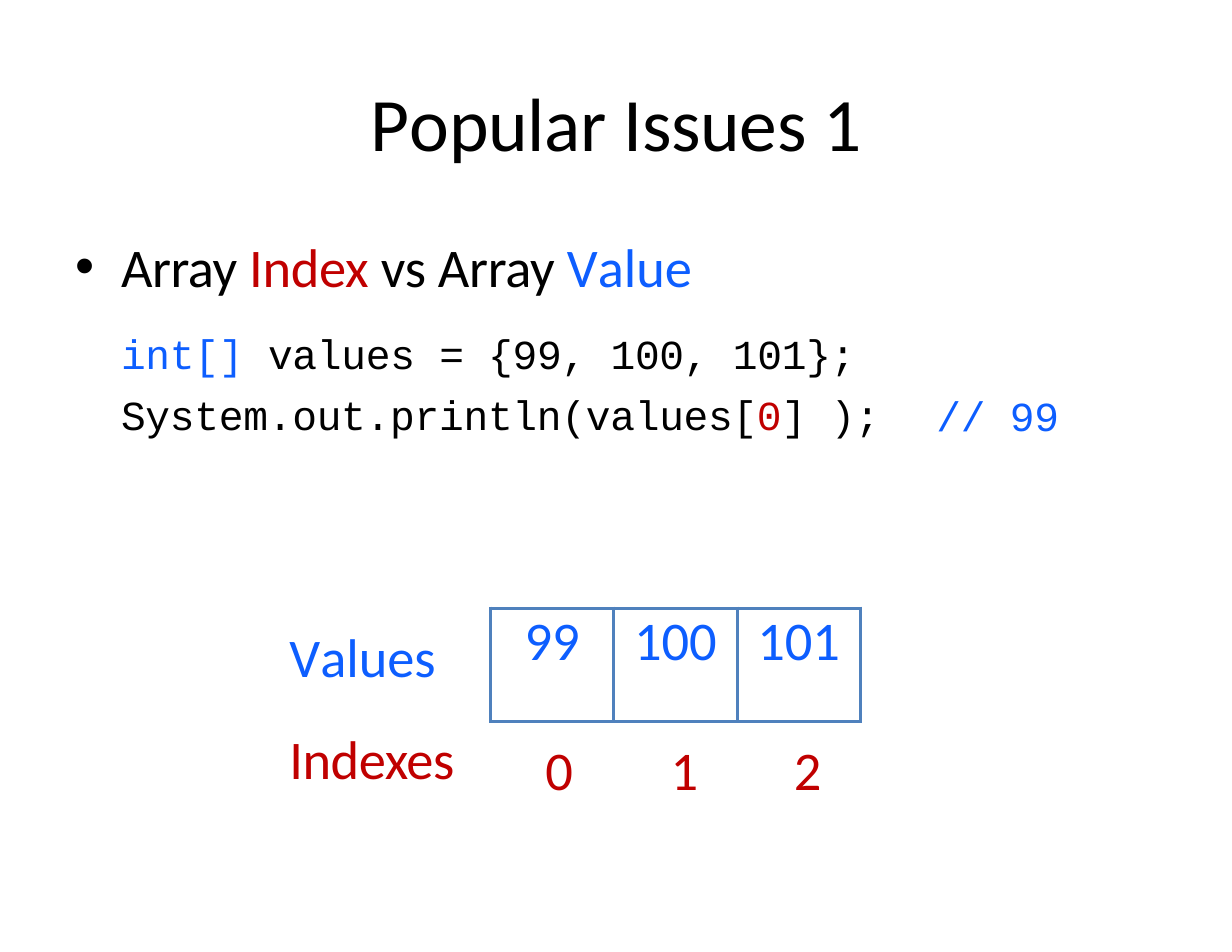
from lxml import etree
from pptx import Presentation
from pptx.dml.color import RGBColor
from pptx.enum.text import PP_ALIGN
from pptx.oxml.ns import qn
from pptx.util import Pt

LEFT, CENTER = PP_ALIGN.LEFT, PP_ALIGN.CENTER
COLORS = {"text": "000000", "value": "0D5EFF", "index": "C00000",
          "border": "4F81BD"}
SANS, MONO = ("Calibri", 35, -0.1), ("Courier New", 26.5, -0.2)
TITLE = ("Calibri", 48.5, -0.2)
CODE_LINE, LABEL_LINE = 39.2, 42

# Content: spans are (text, colour name) with an optional letter spacing
title = [("P", "text", -1.1), ("opular Issues 1", "text")]
heading = [("Array ", "text", -0.3), ("Index ", "index", -0.2),
           ("vs Array ", "text", -0.2), ("V", "value", -2), ("alue", "value", 0)]
code_lines = [
    [("int[] ", "value"), ("values = {99, 100, 101};", "text")],
    [("System.out.println(values[", "text"), ("0", "index"), ("] );", "text")],
]
comment = [("// 99", "value")]
values_label = [("V", "value", -2), ("alues", "value", 0)]
indexes_label = [("Indexes", "index", -0.3)]
values = [99, 100, 101]

# Table grid
TABLE_LEFT, TABLE_TOP, CELL_WIDTH, CELL_HEIGHT = 315.4, 391, 79.2, 72.7


def color(name):
    return RGBColor.from_string(COLORS[name])


def add_box(left, top, width, height):
    frame = page.shapes.add_textbox(Pt(left), Pt(top), Pt(width), Pt(height)).text_frame
    frame.word_wrap = True
    frame.margin_left = frame.margin_right = 0
    frame.margin_top = frame.margin_bottom = 0
    return frame


def write(para, spans, style, align=LEFT, line=None, before=0, indent=0):
    font_name, size, default_spacing = style
    para.alignment = align
    para.space_before = Pt(before)
    if line:
        para.line_spacing = Pt(line)
    if indent:
        para._p.get_or_add_pPr().set("marL", str(Pt(indent)))
    for text, color_name, *spacing in spans:
        span = para.add_run()
        span.text = text
        span.font.name = font_name
        span.font.size = Pt(size)
        span.font.color.rgb = color(color_name)
        letter_spacing = spacing[0] if spacing else default_spacing
        span._r.get_or_add_rPr().set("spc", str(round(letter_spacing * 100)))


def add_bullet(para, hanging):
    properties = para._p.get_or_add_pPr()
    properties.set("indent", str(-Pt(hanging)))
    etree.SubElement(properties, qn("a:buFont"), typeface="Arial")
    etree.SubElement(properties, qn("a:buChar"), char="•")


def add_tabs(para, positions):
    tabs = etree.SubElement(para._p.get_or_add_pPr(), qn("a:tabLst"))
    for position in positions:
        etree.SubElement(tabs, qn("a:tab"), pos=str(Pt(position)), algn="l")


def add_borders(cell, width):
    properties = cell._tc.get_or_add_tcPr()
    for place, side in enumerate(("lnL", "lnR", "lnT", "lnB")):
        border = etree.Element(qn("a:" + side), w=str(Pt(width)))
        fill = etree.SubElement(border, qn("a:solidFill"))
        etree.SubElement(fill, qn("a:srgbClr"), val=COLORS["border"])
        properties.insert(place, border)


deck = Presentation()
deck.slide_width, deck.slide_height = Pt(792), Pt(612)
page = deck.slides.add_slide(deck.slide_layouts[6])

# Title
write(add_box(99, 50.4, 594, 57).paragraphs[0], title, TITLE, CENTER, line=56.7)

# Heading and code
body = add_box(46.8, 149.8, 530, 135)
write(body.paragraphs[0], heading, SANS, indent=31)
add_bullet(body.paragraphs[0], 29.5)
for number, spans in enumerate(code_lines):
    write(body.add_paragraph(), spans, MONO, line=CODE_LINE,
          before=0 if number else 12, indent=31)
write(add_box(602, 243.5, 90, 40).paragraphs[0], comment, MONO, line=CODE_LINE)

# Row labels
labels = add_box(186, 400.3, 115, 108)
write(labels.paragraphs[0], values_label, SANS)
write(labels.add_paragraph(), indexes_label, SANS, line=LABEL_LINE, before=24)

# Index numbers
index_row = add_box(350.6, 473, 180, 42).paragraphs[0]
write(index_row, [("\t".join(str(i) for i in range(len(values))), "index", 0)],
      SANS, line=LABEL_LINE)
add_tabs(index_row, [80.6, 159.8])

# Array cells
table = page.shapes.add_table(1, len(values), Pt(TABLE_LEFT), Pt(TABLE_TOP),
                              Pt(CELL_WIDTH * len(values)), Pt(CELL_HEIGHT)).table
table.first_row = table.horz_banding = False
table.rows[0].height = Pt(CELL_HEIGHT)
for column, value in enumerate(values):
    table.columns[column].width = Pt(CELL_WIDTH)
    cell = table.cell(0, column)
    cell.margin_left = cell.margin_right = cell.margin_top = cell.margin_bottom = 0
    cell.fill.background()
    write(cell.text_frame.paragraphs[0], [(str(value), "value")], SANS, CENTER)
    add_borders(cell, 2.2)

deck.save("out.pptx")
